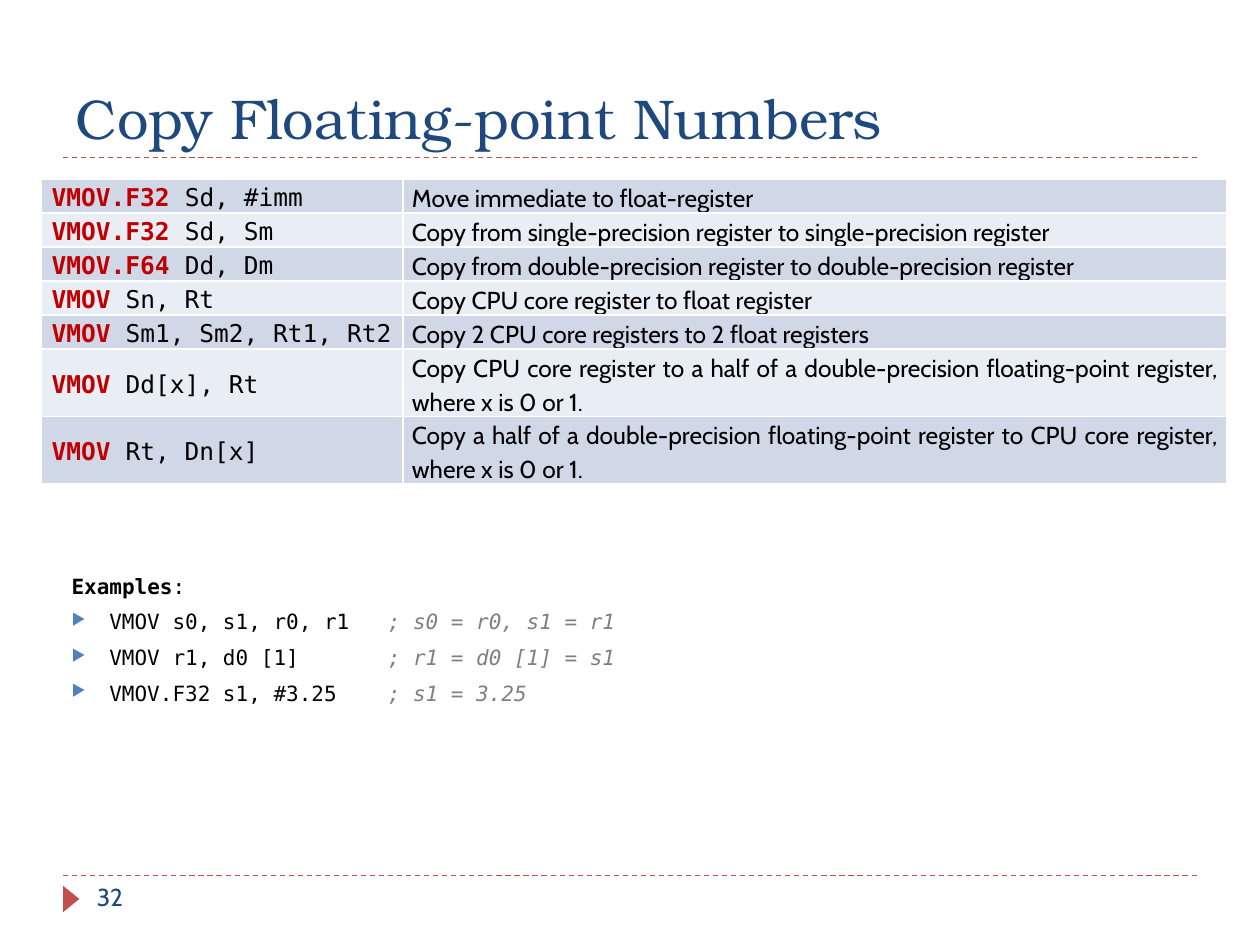
from lxml import etree
from pptx import Presentation
from pptx import util as u
from pptx.dml.color import RGBColor
from pptx.enum import dml, shapes, text
from pptx.oxml import ns

MONO = "DejaVu Sans Mono"
SANS = "Cabin"
SERIF = "TeX Gyre Bonum"
NAVY, RED, DARK_RED = "1F497D", "C0504D", "C00000"
BLACK, GRAY, BLUE, WHITE = "000000", "808080", "4F81BD", "FFFFFF"
BANDS = ("D0D8E8", "E9EDF4")

INSTRUCTIONS = [
    ("VMOV.F32", " Sd, #imm", "Move immediate to float-register"),
    ("VMOV.F32", " Sd, Sm",
     "Copy from single-precision register to single-precision register"),
    ("VMOV.F64", " Dd, Dm",
     "Copy from double-precision register to double-precision register"),
    ("VMOV", " Sn, Rt", "Copy CPU core register to float register"),
    ("VMOV", " Sm1, Sm2, Rt1, Rt2", "Copy 2 CPU core registers to 2 float registers"),
    ("VMOV", " Dd[x], Rt",
     "Copy CPU core register to a half of a double-precision floating-point register, "
     "where x is 0 or 1."),
    ("VMOV", " Rt, Dn[x]",
     "Copy a half of a double-precision floating-point register to CPU core register, "
     "where x is 0 or 1."),
]
EXAMPLES = [
    ("VMOV s0, s1, r0, r1", "; s0 = r0, s1 = r1"),
    ("VMOV r1, d0 [1]", "; r1 = d0 [1] = s1"),
    ("VMOV.F32 s1, #3.25", "; s1 = 3.25"),
]


def color(value):
    return RGBColor.from_string(value)


def add_span(para, words, font=MONO, size=14, fill=BLACK, bold=False, italic=False):
    span = para.add_run()
    span.text = words
    span.font.name = font
    span.font.size = u.Pt(size)
    span.font.bold = bold
    span.font.italic = italic
    span.font.color.rgb = color(fill)


def add_element(parent, tag, **attributes):
    element = etree.SubElement(parent, ns.qn(tag))
    for name, value in attributes.items():
        element.set(name, str(value))
    return element


def add_bullet_and_tab(para, indent, tab):
    properties = para._p.get_or_add_pPr()
    properties.set("marL", str(u.Inches(indent)))
    properties.set("indent", str(u.Inches(-indent)))
    add_element(add_element(properties, "a:buClr"), "a:srgbClr", val=BLUE)
    add_element(properties, "a:buSzPct", val=76000)
    add_element(properties, "a:buChar", char="▶")
    tabs = add_element(properties, "a:tabLst")
    add_element(tabs, "a:tab", pos=u.Inches(tab), algn="l")


def add_dashed_line(page, top):
    line = page.shapes.add_connector(
        shapes.MSO_CONNECTOR.STRAIGHT,
        u.Inches(0.5), u.Inches(top), u.Inches(9.5), u.Inches(top))
    line.line.color.rgb = color(RED)
    line.line.width = u.Pt(0.75)
    line.line.dash_style = dml.MSO_LINE.DASH
    add_element(line._element.spPr, "a:effectLst")


def add_text_box(page, left, top, width, height):
    box = page.shapes.add_textbox(
        u.Inches(left), u.Inches(top), u.Inches(width), u.Inches(height))
    box.text_frame.word_wrap = True
    return box.text_frame


def add_title(page, words):
    title = page.shapes.title
    title.left, title.top = u.Inches(0.5), u.Inches(0.17)
    title.width, title.height = u.Inches(9), u.Inches(1.08)
    frame = title.text_frame
    frame.auto_size = text.MSO_AUTO_SIZE.NONE
    frame.vertical_anchor = text.MSO_ANCHOR.BOTTOM
    para = frame.paragraphs[0]
    para.alignment = text.PP_ALIGN.LEFT
    add_span(para, words, font=SERIF, size=32, fill=NAVY)


def add_page_number(page, number):
    marker = page.shapes.add_shape(
        shapes.MSO_SHAPE.ISOSCELES_TRIANGLE,
        u.Inches(0.46), u.Inches(7.07), u.Inches(0.21), u.Inches(0.13))
    marker.rotation = 90
    marker.shadow.inherit = False
    marker.fill.solid()
    marker.fill.fore_color.rgb = color(RED)
    marker.line.fill.background()
    frame = add_text_box(page, 0.67, 6.95, 2.17, 0.4)
    add_span(frame.paragraphs[0], number, font=SANS, fill=NAVY)


def format_cell(cell, fill, left, right):
    cell.fill.solid()
    cell.fill.fore_color.rgb = color(fill)
    cell.vertical_anchor = text.MSO_ANCHOR.MIDDLE
    cell.margin_left, cell.margin_right = u.Inches(left), u.Inches(right)
    cell.margin_top = cell.margin_bottom = 0
    properties = cell._tc.get_or_add_tcPr()
    for position, side in enumerate(("a:lnL", "a:lnR", "a:lnT", "a:lnB")):
        border = add_element(properties, side, w=u.Pt(1))
        add_element(add_element(border, "a:solidFill"), "a:srgbClr", val=WHITE)
        properties.insert(position, border)
    para = cell.text_frame.paragraphs[0]
    para.alignment = text.PP_ALIGN.JUSTIFY
    para.line_spacing = 1.15
    return para


def add_instruction_table(page):
    widths = (2.87, 6.54)
    row_height = 0.27
    table = page.shapes.add_table(
        len(INSTRUCTIONS), len(widths), u.Inches(0.33), u.Inches(1.42),
        u.Inches(sum(widths)), u.Inches(row_height * len(INSTRUCTIONS))).table
    table.first_row = table.horz_banding = False
    for column, width in zip(table.columns, widths):
        column.width = u.Inches(width)
    for index, (mnemonic, operands, meaning) in enumerate(INSTRUCTIONS):
        table.rows[index].height = u.Inches(row_height)
        band = BANDS[index % 2]
        para = format_cell(table.cell(index, 0), band, left=0.08, right=0)
        add_span(para, mnemonic, fill=DARK_RED, bold=True)
        add_span(para, operands)
        para = format_cell(table.cell(index, 1), band, left=0.07, right=0.07)
        add_span(para, meaning, font=SANS)


def add_examples(page):
    frame = add_text_box(page, 0.47, 4.5, 9, 2.28)
    heading = frame.paragraphs[0]
    add_span(heading, "Examples", size=12, bold=True)
    add_span(heading, ":", size=12)
    for code, remark in EXAMPLES:
        para = frame.add_paragraph()
        add_bullet_and_tab(para, indent=0.3, tab=2.51)
        para.space_before = u.Pt(6)
        add_span(para, code + "\t", size=12)
        add_span(para, remark, size=12, fill=GRAY, italic=True)


def main():
    deck = Presentation()
    deck.slide_width, deck.slide_height = u.Inches(10), u.Inches(7.5)
    page = deck.slides.add_slide(deck.slide_layouts[5])
    for top in (6.95, 1.25):
        add_dashed_line(page, top)
    add_title(page, "Copy Floating-point Numbers")
    add_page_number(page, "32")
    add_instruction_table(page)
    add_examples(page)
    deck.save("out.pptx")


if __name__ == "__main__":
    main()
